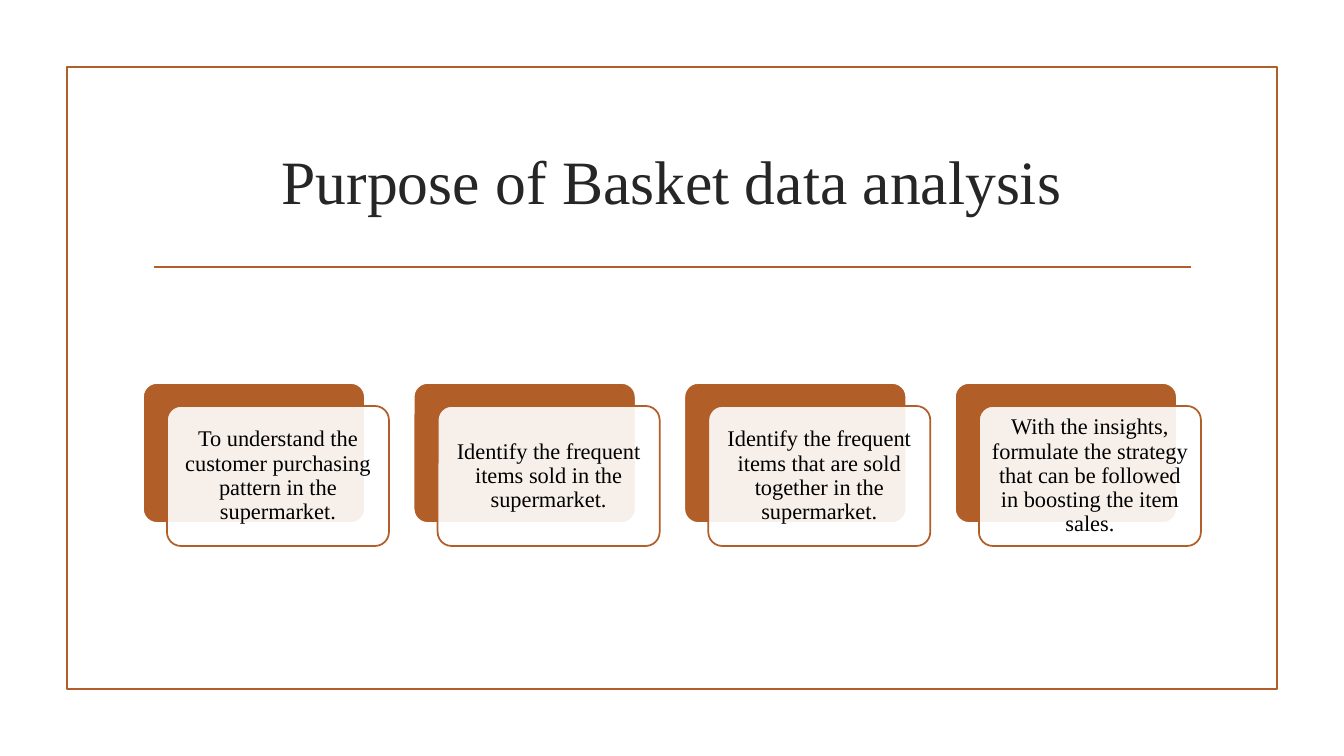
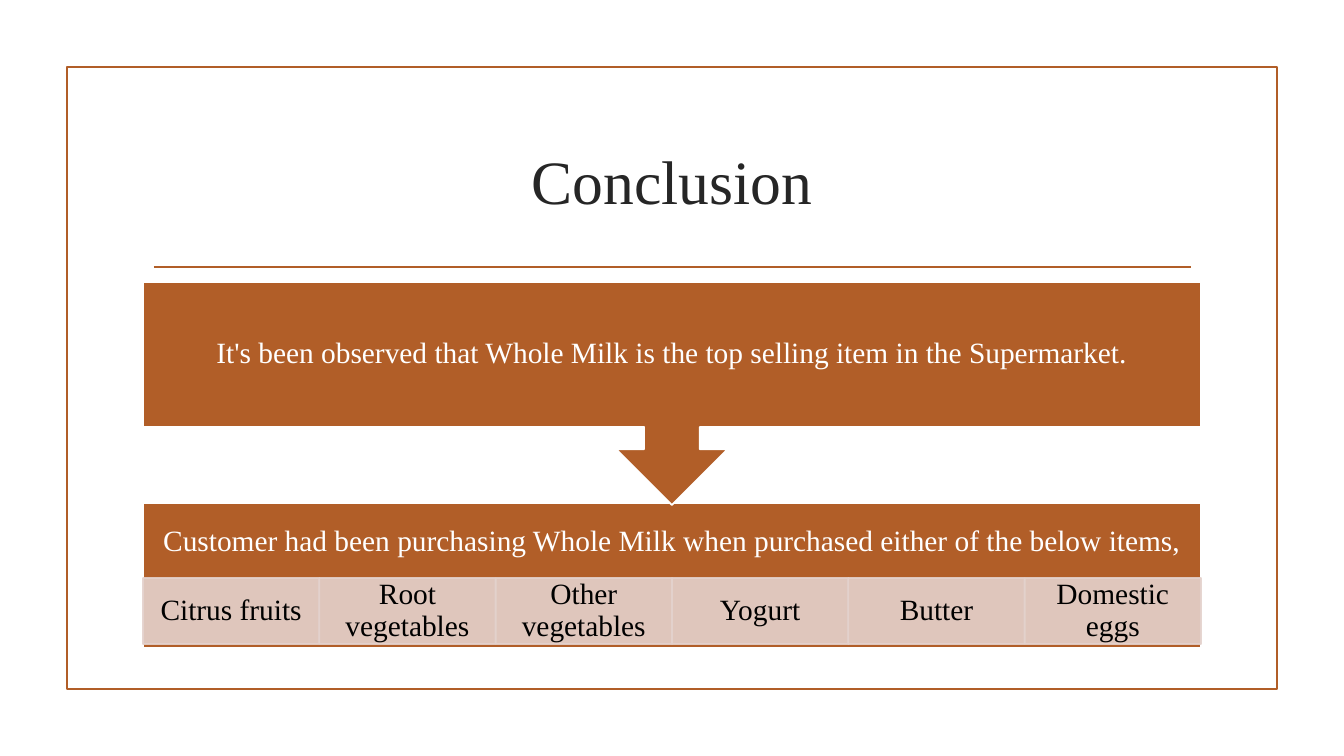
import pptx
import pptx.dml.color
import pptx.enum.shapes
import pptx.enum.text
import pptx.oxml.ns
import pptx.oxml.xmlchemy
import pptx.util
from lxml import etree

# Shared style
EMU_PER_PX = 914400 / 100.8
COLORS = {
    "rust": "B15E28",
    "blush": "E4D2CD",
    "white": "FFFFFF",
    "title": "262626",
    "black": "000000",
}
FONT = "Times New Roman"
LINE_WIDTH = pptx.util.Pt(1.25)
SHAPES = pptx.enum.shapes.MSO_SHAPE

# Content area shared by titles and diagrams
LEFT, WIDTH = 143, 1058

PURPOSES = [
    "To understand the customer purchasing pattern in the supermarket.",
    "Identify the frequent items sold in the supermarket.",
    "Identify the frequent items that are sold together in the supermarket.",
    "With the insights, formulate the strategy that can be followed in boosting the item sales.",
]
FINDING = "It's been observed that Whole Milk is the top selling item in the Supermarket."
PAIRING = "Customer had been purchasing Whole Milk when purchased either of the below items,"
PAIRED_ITEMS = ["Citrus fruits", "Root vegetables", "Other vegetables",
                "Yogurt", "Butter", "Domestic eggs"]


def px(length):
    return pptx.util.Emu(round(length * EMU_PER_PX))


def rgb(name):
    return pptx.dml.color.RGBColor.from_string(COLORS[name])


def set_opacity(holder, percent):
    """Make the solid fill directly inside holder partly transparent."""
    color = holder.find("/".join(map(pptx.oxml.ns.qn, ("a:solidFill", "a:srgbClr"))))
    alpha = etree.SubElement(color, pptx.oxml.ns.qn("a:alpha"))
    alpha.set("val", str(percent * 1000))


def write(shape, text, size, color, insets=(0, 0, 0, 0), spacing=0.9):
    """Centre one paragraph; insets run left, top, right, bottom."""
    frame = shape.text_frame
    frame.word_wrap = True
    frame.vertical_anchor = pptx.enum.text.MSO_ANCHOR.MIDDLE
    (frame.margin_left, frame.margin_top,
     frame.margin_right, frame.margin_bottom) = map(px, insets)
    paragraph = frame.paragraphs[0]
    paragraph.text = text
    paragraph.alignment = pptx.enum.text.PP_ALIGN.CENTER
    paragraph.line_spacing = spacing
    paragraph.font.name = FONT
    paragraph.font.size = pptx.util.Pt(size)
    paragraph.font.color.rgb = rgb(color)


def add_block(slide, kind, box, fill, line):
    block = slide.shapes.add_shape(kind, *map(px, box))
    block.shadow.inherit = False
    if fill:
        block.fill.solid()
        block.fill.fore_color.rgb = rgb(fill)
    else:
        block.fill.background()
    block.line.color.rgb = rgb(line)
    block.line.width = LINE_WIDTH
    return block


def add_rule(slide, left, right, y):
    rule = slide.shapes.add_connector(
        pptx.enum.shapes.MSO_CONNECTOR.STRAIGHT, px(left), px(y), px(right), px(y))
    rule.line.color.rgb = rgb("rust")
    rule.line.width = LINE_WIDTH
    etree.SubElement(rule.element.spPr, pptx.oxml.ns.qn("a:effectLst"))


def add_framed_slide(deck, title):
    slide = deck.slides.add_slide(deck.slide_layouts[6])
    add_block(slide, SHAPES.RECTANGLE, (67, 67, 1210, 622), None, "rust")
    add_rule(slide, 154, 1191, 267)
    heading = slide.shapes.add_textbox(*map(px, (LEFT, 108, WIDTH, 144)))
    write(heading, title, 44, "title", spacing=1)
    return slide


def add_card(slide, left, text):
    """A white card in front of a shifted rust one."""
    top, width, height, shift = 383, 222, 140, 24
    back = add_block(slide, SHAPES.ROUNDED_RECTANGLE,
                     (left, top, width, height), "rust", "white")
    front = add_block(slide, SHAPES.ROUNDED_RECTANGLE,
                      (left + shift, top + shift - 1, width, height), "white", "rust")
    for card in (back, front):
        card.adjustments[0] = 0.1
    set_opacity(front.element.spPr, 90)
    write(front, text, 16, "black", (7, 7, 7, 7))


def add_item_cell(slide, left, width, text):
    cell = add_block(slide, SHAPES.RECTANGLE, (left, 578, width, 66), "blush", "blush")
    properties = cell.element.spPr
    set_opacity(properties, 90)
    set_opacity(properties.find(pptx.oxml.ns.qn("a:ln")), 90)
    write(cell, text, 21, "black", (16, 3, 16, 3))


def build_purpose(deck):
    slide = add_framed_slide(deck, "Purpose of Basket data analysis")
    pitch = (WIDTH - 246) / (len(PURPOSES) - 1)
    for index, purpose in enumerate(PURPOSES):
        add_card(slide, LEFT + index * pitch, purpose)


def build_conclusion(deck):
    slide = add_framed_slide(deck, "Conclusion")
    # Lower band: its caption sits above the row of items
    band = add_block(slide, SHAPES.RECTANGLE, (LEFT, 503, WIDTH, 145), "rust", "white")
    write(band, PAIRING, 21, "white", (16, 16, 16, 83))
    cell_width = WIDTH / len(PAIRED_ITEMS)
    for index, item in enumerate(PAIRED_ITEMS):
        add_item_cell(slide, LEFT + index * cell_width, cell_width, item)
    # Upper band with the arrow pointing to the lower one
    callout = add_block(slide, SHAPES.DOWN_ARROW_CALLOUT,
                        (LEFT, 282, WIDTH, 223), "rust", "white")
    write(callout, FINDING, 21, "white", (16, 16, 16, 16))


def main():
    deck = pptx.Presentation()
    deck.slide_width, deck.slide_height = px(1344), px(756)
    build_purpose(deck)
    build_conclusion(deck)
    deck.save("out.pptx")


if __name__ == "__main__":
    main()
